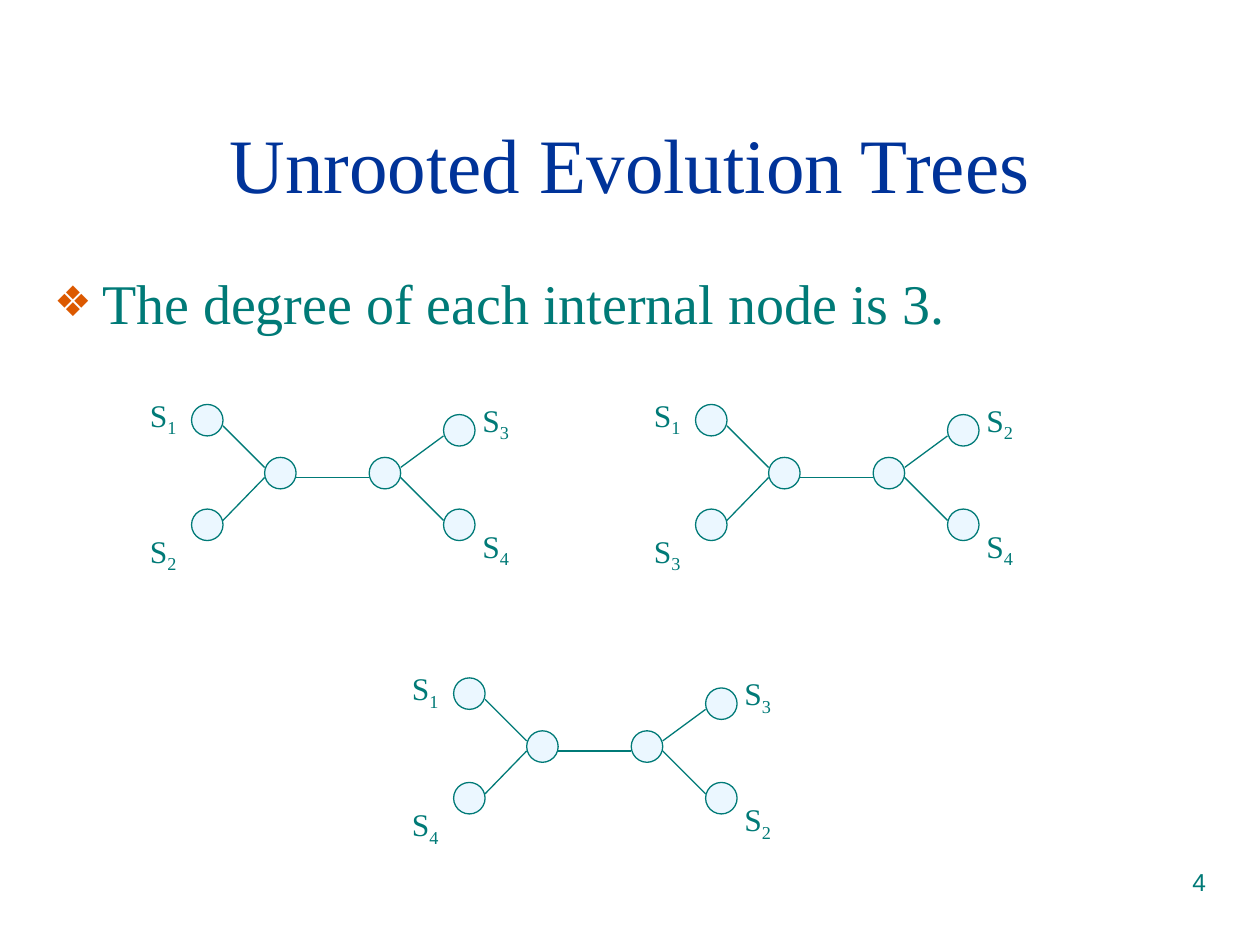
"""Build a slide showing the three unrooted trees on four species."""
from dataclasses import dataclass

import pptx
import pptx.dml.color
import pptx.enum.shapes
import pptx.enum.text
import pptx.oxml
import pptx.oxml.ns
import pptx.util
from pptx.util import Inches

Point = tuple[float, float]


@dataclass(frozen=True)
class Theme:
    serif: str = "Times New Roman"
    sans: str = "Arial"
    title: str = "003399"
    ink: str = "007A77"
    mark: str = "DC5900"
    node: str = "EBF7FF"
    head: float = 44
    body: float = 32
    label: float = 18
    number: float = 14
    line: float = 0.75


@dataclass(frozen=True)
class Tree:
    left: float
    top: float
    leaves: str


THEME = Theme()
SIZE = 0.25
NODES: list[Point] = [(0.58, 0.42), (1.41, 0.42), (0, 0), (0, 0.83), (2, 0.08), (2, 0.83)]
EDGES: list[tuple[Point, Point]] = [
    ((0.83, 0.58), (1.41, 0.58)),
    ((0.25, 0.17), (0.58, 0.5)),
    ((0.25, 0.92), (0.58, 0.58)),
    ((2, 0.25), (1.66, 0.5)),
    ((1.66, 0.58), (2, 0.92)),
]
LABELS: list[Point] = [(-0.43, -0.12), (-0.43, 0.96), (2.21, -0.08), (2.21, 0.92)]
TREES = [Tree(1.52, 3.21, "1234"), Tree(5.52, 3.21, "1324"), Tree(3.6, 5.38, "1432")]


def color(code: str) -> pptx.dml.color.RGBColor:
    """Turn a hex code into a colour."""
    return pptx.dml.color.RGBColor.from_string(code)


def style(font, name: str, size: float, code: str) -> None:
    """Set the face, size and colour of a font."""
    font.name = name
    font.size = pptx.util.Pt(size)
    font.color.rgb = color(code)


def place(shape, left: float, top: float, width: float, height: float) -> None:
    """Move and size a shape in inches."""
    shape.left, shape.top = Inches(left), Inches(top)
    shape.width, shape.height = Inches(width), Inches(height)


def bullet(para, sign: str) -> None:
    """Give a paragraph a coloured bullet and hanging indent."""
    props = para._p.get_or_add_pPr()
    props.set("marL", str(Inches(0.38)))
    props.set("indent", str(-Inches(0.38)))
    space = pptx.oxml.ns.nsdecls("a")
    for xml in (
        f'<a:buClr {space}><a:srgbClr val="{THEME.mark}"/></a:buClr>',
        f'<a:buSzPct {space} val="75000"/>',
        f'<a:buChar {space} char="{sign}"/>',
    ):
        props.append(pptx.oxml.parse_xml(xml))


def node(shapes, left: float, top: float) -> None:
    """Draw one tree node."""
    kind = pptx.enum.shapes.MSO_SHAPE.OVAL
    dot = shapes.add_shape(kind, Inches(left), Inches(top), Inches(SIZE), Inches(SIZE))
    dot.shadow.inherit = False
    dot.fill.solid()
    dot.fill.fore_color.rgb = color(THEME.node)
    dot.line.color.rgb = color(THEME.ink)
    dot.line.width = pptx.util.Pt(THEME.line)


def edge(shapes, start: Point, end: Point) -> None:
    """Draw one tree edge."""
    kind = pptx.enum.shapes.MSO_CONNECTOR.STRAIGHT
    line = shapes.add_connector(kind, *map(Inches, start + end))
    line.line.color.rgb = color(THEME.ink)
    line.line.width = pptx.util.Pt(THEME.line)
    space = pptx.oxml.ns.nsdecls("a")
    line._element.spPr.append(pptx.oxml.parse_xml(f"<a:effectLst {space}/>"))


def label(shapes, left: float, top: float, index: str) -> None:
    """Write a species name with its subscript."""
    box = shapes.add_textbox(Inches(left), Inches(top), Inches(0.41), Inches(0.44))
    frame = box.text_frame
    frame.word_wrap = False
    frame.auto_size = pptx.enum.text.MSO_AUTO_SIZE.SHAPE_TO_FIT_TEXT
    para = frame.paragraphs[0]
    para.text = "S"
    sub = para.add_run()
    sub.text = index
    for run in para.runs:
        style(run.font, THEME.serif, THEME.label, THEME.ink)
    sub._r.get_or_add_rPr().set("baseline", "-25000")


def draw(slide, tree: Tree) -> None:
    """Draw a whole tree as one group."""
    def move(spot: Point) -> Point:
        """Shift a point to the tree's origin."""
        return tree.left + spot[0], tree.top + spot[1]

    shapes = slide.shapes.add_group_shape().shapes
    for spot in NODES:
        node(shapes, *move(spot))
    for start, end in EDGES:
        edge(shapes, move(start), move(end))
    for spot, index in zip(LABELS, tree.leaves):
        label(shapes, *move(spot), index)


def main() -> None:
    """Build and save the slide."""
    deck = pptx.Presentation()
    deck.slide_width, deck.slide_height = Inches(10), Inches(7.5)
    slide = deck.slides.add_slide(deck.slide_layouts[1])
    align = pptx.enum.text.PP_ALIGN

    title = slide.shapes.title
    place(title, 0.33, 0.67, 9.34, 1.25)
    title.text_frame.text = "Unrooted Evolution Trees"
    title.text_frame.vertical_anchor = pptx.enum.text.MSO_ANCHOR.MIDDLE
    para = title.text_frame.paragraphs[0]
    para.alignment = align.CENTER
    style(para.runs[0].font, THEME.serif, THEME.head, THEME.title)

    body = slide.placeholders[1]
    place(body, 0.33, 2.08, 9.34, 4.59)
    body.text_frame.text = "The degree of each internal node is 3."
    para = body.text_frame.paragraphs[0]
    bullet(para, "❖")
    para.space_before = pptx.util.Pt(0)
    style(para.runs[0].font, THEME.serif, THEME.body, THEME.ink)

    for frame in (title.text_frame, body.text_frame):
        frame.auto_size = pptx.enum.text.MSO_AUTO_SIZE.NONE

    for tree in TREES:
        draw(slide, tree)

    number = slide.shapes.add_textbox(Inches(7.17), Inches(6.83), Inches(2.5), Inches(0.52))
    number.text_frame.word_wrap = True
    number.text_frame.text = "4"
    para = number.text_frame.paragraphs[0]
    para.alignment = align.RIGHT
    style(para.runs[0].font, THEME.sans, THEME.number, THEME.ink)
    deck.save("out.pptx")


if __name__ == "__main__":
    main()
